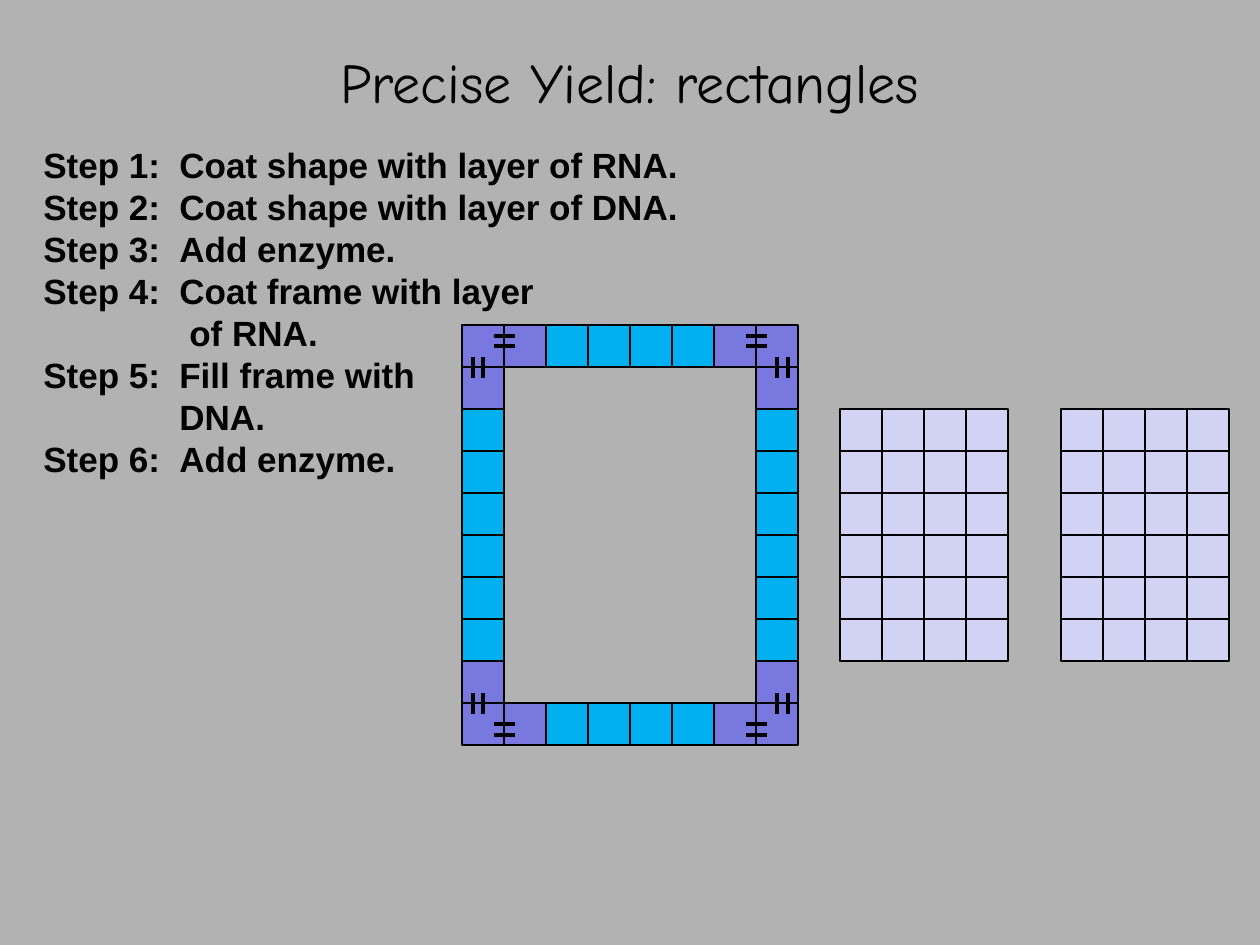
import dataclasses

import pptx
import pptx.dml.color
import pptx.enum.shapes
import pptx.enum.text
import pptx.oxml.ns
import pptx.util
from lxml import etree


@dataclasses.dataclass(frozen=True)
class Theme:
    background: str = "B2B2B2"
    ink: str = "000000"
    corner: str = "7878DE"
    side: str = "00B0F0"
    filling: str = "D2D2F4"
    title_font: str = "Comic Neue"
    step_font: str = "Arial"
    title_size: int = 32
    step_size: int = 20
    cell_line: float = 0.75
    bond_line: float = 2.25


THEME = Theme()
CELL = 42


def px(length):
    return pptx.util.Emu(round(length * 914400 / 126))


def color(value):
    return pptx.dml.color.RGBColor.from_string(value)


def add_run(para, text, font, size, bold=False):
    span = para.add_run()
    span.text = text
    span.font.name = font
    span.font.size = pptx.util.Pt(size)
    span.font.bold = bold
    span.font.color.rgb = color(THEME.ink)


def add_title(page, left, top, width, height, text):
    box = page.shapes.add_textbox(px(left), px(top), px(width), px(height))
    frame = box.text_frame
    frame.word_wrap = True
    frame.vertical_anchor = pptx.enum.text.MSO_ANCHOR.MIDDLE
    para = frame.paragraphs[0]
    para.alignment = pptx.enum.text.PP_ALIGN.CENTER
    add_run(para, text, THEME.title_font, THEME.title_size)


def add_steps(page, left, top, width, height, steps):
    box = page.shapes.add_textbox(px(left), px(top), px(width), px(height))
    frame = box.text_frame
    frame.word_wrap = False
    for index, (label, text, indent) in enumerate(steps):
        para = frame.paragraphs[0] if index == 0 else frame.add_paragraph()
        properties = para._p.get_or_add_pPr()
        properties.set("marL", str(px(indent)))
        properties.set("indent", str(px(-indent) if label else 0))
        line = f"{label}\t{text}" if label else text
        add_run(para, line, THEME.step_font, THEME.step_size, bold=True)


def add_cell(page, left, top, fill):
    cell = page.shapes.add_shape(
        pptx.enum.shapes.MSO_SHAPE.RECTANGLE, px(left), px(top), px(CELL), px(CELL)
    )
    cell.shadow.inherit = False
    cell.fill.solid()
    cell.fill.fore_color.rgb = color(fill)
    cell.line.color.rgb = color(THEME.ink)
    cell.line.width = pptx.util.Pt(THEME.cell_line)


def add_filling(page, left, top, columns, rows):
    for row in range(rows):
        for column in range(columns):
            add_cell(page, left + column * CELL, top + row * CELL, THEME.filling)


def add_stroke(page, start, end):
    stroke = page.shapes.add_connector(
        pptx.enum.shapes.MSO_CONNECTOR.STRAIGHT,
        px(start[0]), px(start[1]), px(end[0]), px(end[1]),
    )
    stroke.line.color.rgb = color(THEME.ink)
    stroke.line.width = pptx.util.Pt(THEME.bond_line)
    etree.SubElement(stroke._element.spPr, pptx.oxml.ns.qn("a:effectLst"))


def add_bonds(page, left, top, width, height):
    halves = ((-10, 0), (0, 11))
    for seam in (left + CELL, left + width - CELL):
        for y in (top + 11, top + 21, top + height - 21, top + height - 10):
            for start, end in halves:
                add_stroke(page, (seam + start, y), (seam + end, y))
    for seam in (top + CELL, top + height - CELL):
        for x in (left + 11, left + 21, left + width - 21, left + width - 10):
            for start, end in halves:
                add_stroke(page, (x, seam + start), (x, seam + end))


def add_frame(page, left, top, columns, rows):
    for row in range(rows):
        for column in range(columns):
            across = min(column, columns - 1 - column)
            down = min(row, rows - 1 - row)
            if across and down:
                continue
            fill = THEME.corner if across + down <= 1 else THEME.side
            add_cell(page, left + column * CELL, top + row * CELL, fill)
    add_bonds(page, left, top, columns * CELL, rows * CELL)


def build_page(deck):
    page = deck.slides.add_slide(deck.slide_layouts[6])
    page.background.fill.solid()
    page.background.fill.fore_color.rgb = color(THEME.background)
    add_title(page, 0, 39, 1260, 84, "Precise Yield: rectangles")
    add_filling(page, 1061, 409, 4, 6)
    add_frame(page, 462, 325, 8, 10)
    add_filling(page, 840, 409, 4, 6)
    add_steps(page, 31, 179, 665, 310, [
        ("Step 2:", "Coat shape with layer of DNA.", 136),
        ("Step 3:", "Add enzyme.", 136),
        ("Step 4:", "Coat frame with layer", 136),
        ("", "of RNA.", 146),
        ("Step 5:", "Fill frame with", 136),
        ("", "DNA.", 136),
        ("Step 6:", "Add enzyme.", 136),
    ])
    add_steps(page, 31, 137, 665, 55, [
        ("Step 1:", "Coat shape with layer of RNA.", 136),
    ])


def main():
    deck = pptx.Presentation()
    deck.slide_width = px(1260)
    deck.slide_height = px(945)
    build_page(deck)
    deck.save("out.pptx")


if __name__ == "__main__":
    main()
